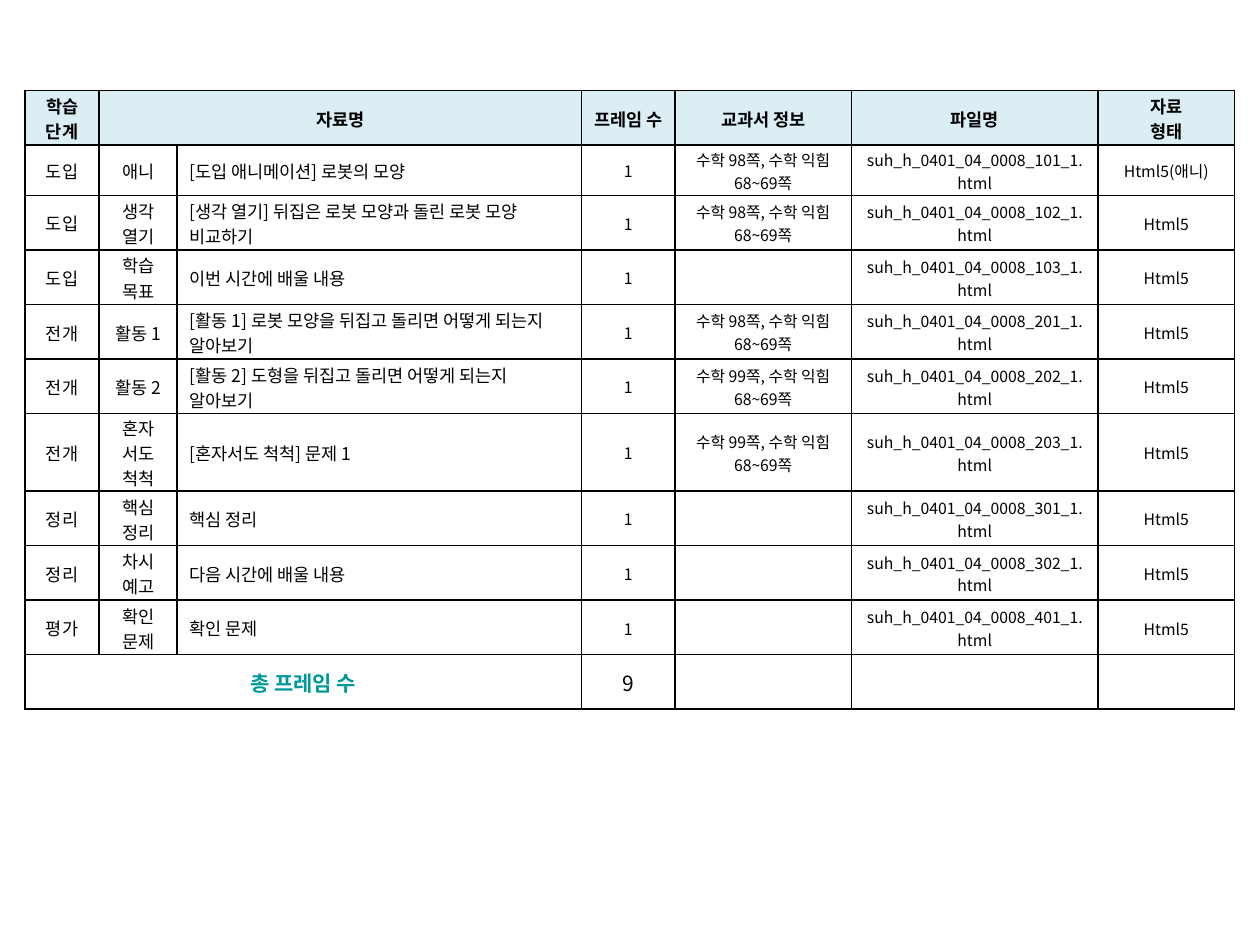
from dataclasses import dataclass

from lxml import etree
from pptx import Presentation, util as u
from pptx.dml.color import RGBColor
from pptx.enum import text
from pptx.oxml.ns import qn


@dataclass(frozen=True)
class Theme:
    font: str = "Noto Sans CJK KR"
    ink: str = "000000"
    accent: str = "009999"
    header_fill: str = "DBEEF4"
    body: float = 10
    small: float = 9
    total: float = 12
    border: float = 1


CENTER, LEFT = text.PP_ALIGN.CENTER, text.PP_ALIGN.LEFT


def write(frame, content, *, theme, size, color=None, bold=False, align=CENTER):
    """Fill a text frame, one paragraph per line of content."""
    frame.text = content
    for paragraph in frame.paragraphs:
        paragraph.alignment = align
        for run in paragraph.runs:
            run.font.name = theme.font
            run.font.size = u.Pt(size)
            run.font.bold = bold
            run.font.color.rgb = RGBColor.from_string(color or theme.ink)
            east_asian = etree.SubElement(run.font._element, qn("a:ea"))
            east_asian.set("typeface", theme.font)
        if not paragraph.runs:
            # Keeps an empty cell from stretching its row
            end = etree.SubElement(paragraph._p, qn("a:endParaRPr"))
            end.set("sz", str(int(size * 100)))


class SlideBuilder:
    def __init__(self, slide, theme):
        self.slide = slide
        self.theme = theme

    def table(self, left, top, widths, heights):
        frame = self.slide.shapes.add_table(
            len(heights), len(widths), u.Pt(left), u.Pt(top),
            u.Pt(sum(widths)), u.Pt(sum(heights)))
        grid = frame.table
        grid.first_row = grid.horz_banding = False
        for column, width in zip(grid.columns, widths):
            column.width = u.Pt(width)
        for row, height in zip(grid.rows, heights):
            row.height = u.Pt(height)
        return grid

    def borders(self, cell):
        properties = cell._tc.get_or_add_tcPr()
        for side in ("lnL", "lnR", "lnT", "lnB"):
            line = etree.SubElement(properties, qn(f"a:{side}"))
            line.set("w", str(u.Pt(self.theme.border)))
            solid = etree.SubElement(line, qn("a:solidFill"))
            etree.SubElement(solid, qn("a:srgbClr")).set("val", self.theme.ink)

    def cell(self, cell, content, fill=None, **style):
        self.borders(cell)
        cell.vertical_anchor = text.MSO_ANCHOR.MIDDLE
        cell.margin_left = cell.margin_right = u.Pt(7.2)
        cell.margin_top, cell.margin_bottom = u.Pt(1), u.Pt(0)
        if fill:
            cell.fill.solid()
            cell.fill.fore_color.rgb = RGBColor.from_string(fill)
        else:
            cell.fill.background()
        write(cell.text_frame, content, theme=self.theme, **style)


HEADINGS = ["학습 단계", "자료명", "", "프레임 수", "교과서 정보", "파일명", "자료\n형태"]

# Stage, activity, material, textbook page, file number
LESSON = [
    ("도입", "애니", "[도입 애니메이션] 로봇의 모양", 98, 101),
    ("도입", "생각 열기", "[생각 열기] 뒤집은 로봇 모양과 돌린 로봇 모양 비교하기", 98, 102),
    ("도입", "학습 목표", "이번 시간에 배울 내용", None, 103),
    ("전개", "활동 1", "[활동 1] 로봇 모양을 뒤집고 돌리면 어떻게 되는지 알아보기", 98, 201),
    ("전개", "활동 2", "[활동 2] 도형을 뒤집고 돌리면 어떻게 되는지 알아보기", 99, 202),
    ("전개", "혼자\n서도\n척척", "[혼자서도 척척] 문제 1", 99, 203),
    ("정리", "핵심 정리", "핵심 정리", None, 301),
    ("정리", "차시 예고", "다음 시간에 배울 내용", None, 302),
    ("평가", "확인 문제", "확인 문제", None, 401),
]
MATERIAL_COLUMN, FRAMES_COLUMN = 2, 3
COLUMN_WIDTHS = [42.5, 44.6, 231.1, 53.3, 100.8, 141.1, 77.8]
ROW_HEIGHT, INTRO_HEIGHT, SOLO_HEIGHT = 31.2, 28.8, 43.2


def main():
    theme = Theme()
    deck = Presentation()
    deck.slide_width, deck.slide_height = u.Pt(720), u.Pt(540)
    builder = SlideBuilder(deck.slides.add_slide(deck.slide_layouts[6]), theme)

    heights = [ROW_HEIGHT] * (len(LESSON) + 2)
    heights[1], heights[6] = INTRO_HEIGHT, SOLO_HEIGHT
    plan = builder.table(14.2, 51.6, COLUMN_WIDTHS, heights)
    last = len(heights) - 1

    # Header row
    for column, heading in enumerate(HEADINGS):
        builder.cell(plan.cell(0, column), heading, fill=theme.header_fill,
                     size=theme.body, bold=True)

    # Lesson rows
    for row, (stage, activity, material, page, number) in enumerate(LESSON, 1):
        textbook = f"수학 {page}쪽, 수학 익힘 68~69쪽" if page else ""
        file_name = f"suh_h_0401_04_0008_{number}_1.html"
        media = "Html5(애니)" if activity == "애니" else "Html5"
        values = [stage, activity, material, "1", textbook, file_name, media]
        for column, value in enumerate(values):
            builder.cell(
                plan.cell(row, column), value,
                size=theme.body if column < FRAMES_COLUMN else theme.small,
                align=LEFT if column == MATERIAL_COLUMN else CENTER)

    # Total row
    totals = ["총 프레임 수", "", "", str(len(LESSON)), "", "", ""]
    for column, value in enumerate(totals):
        is_label = column == 0
        builder.cell(plan.cell(last, column), value, size=theme.total,
                     color=theme.accent if is_label else theme.ink, bold=is_label)

    # Merged cells
    plan.cell(0, 1).merge(plan.cell(0, MATERIAL_COLUMN))
    plan.cell(last, 0).merge(plan.cell(last, MATERIAL_COLUMN))

    deck.save("out.pptx")


if __name__ == "__main__":
    main()
